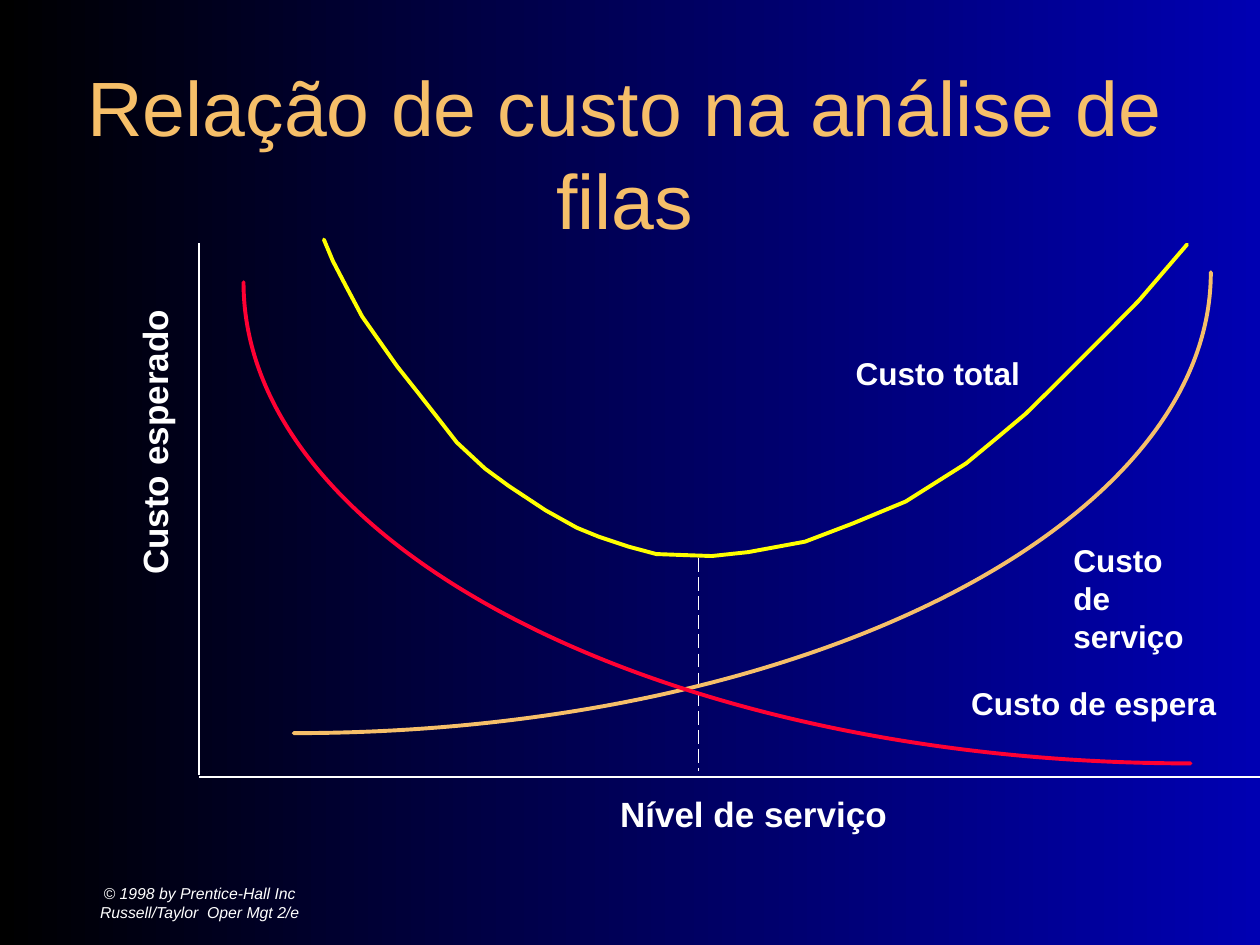
"""Build the slide on cost trade-offs in queue analysis."""
from dataclasses import dataclass

from lxml import etree
from pptx import Presentation
from pptx.dml.color import RGBColor
from pptx.enum.dml import MSO_LINE
from pptx.enum.shapes import MSO_CONNECTOR
from pptx.enum.text import MSO_ANCHOR, MSO_AUTO_SIZE, PP_ALIGN
from pptx.oxml.ns import qn
from pptx.util import Cm, Pt

LEFT, CENTER = PP_ALIGN.LEFT, PP_ALIGN.CENTER
TOP, MIDDLE = MSO_ANCHOR.TOP, MSO_ANCHOR.MIDDLE
FIT_SHAPE, NO_FIT = MSO_AUTO_SIZE.SHAPE_TO_FIT_TEXT, MSO_AUTO_SIZE.NONE
STRAIGHT = MSO_CONNECTOR.STRAIGHT
LONG_DASH = MSO_LINE.LONG_DASH
TITLE_ONLY = 5

TOTAL_COST_POINTS = [
    (6.53, 4.83), (6.71, 5.26), (6.96, 5.74), (7.3, 6.38), (7.7, 6.95),
    (8.01, 7.39), (8.43, 7.92), (8.86, 8.47), (9.21, 8.92), (9.78, 9.45),
    (10.26, 9.8), (11, 10.29), (11.63, 10.64), (12.07, 10.82),
    (12.67, 11.02), (13.23, 11.17), (13.77, 11.19), (14.35, 11.21),
    (15.09, 11.13), (16.23, 10.92), (17.2, 10.55), (18.26, 10.11),
    (19.48, 9.34), (20.12, 8.81), (20.68, 8.34), (21.34, 7.69),
    (22.17, 6.86), (22.96, 6.06), (23.93, 4.93),
]
SERVICE_COST_ARC = [(24.41, 5.49), (24.41, 10.62), (16.13, 14.78), (5.92, 14.78)]
WAITING_COST_ARC = [(24, 15.39), (13.46, 15.39), (4.91, 11.05), (4.91, 5.69)]


@dataclass(frozen=True)
class Theme:
    """Colours, type sizes and line widths of the slide."""

    font: str = "Arial"
    night: str = "000000"
    blue: str = "0000B2"
    white: str = "FFFFFF"
    amber: str = "F6BF69"
    yellow: str = "FFFF00"
    red: str = "FF0033"
    title: float = 44
    axis_label: float = 20
    curve_label: float = 18
    footer: float = 9
    thin: float = 1
    thick: float = 2.25


THEME = Theme()


def rgb(value):
    """Return a colour from its hexadecimal value."""
    return RGBColor.from_string(value)


def write_text(frame, text, size, color=THEME.white, bold=False, italic=False,
               align=LEFT, anchor=TOP, wrap=True, fit=FIT_SHAPE):
    """Fill a text frame, one paragraph to each line of text."""
    frame.text = text
    frame.word_wrap = wrap
    frame.auto_size = fit
    frame.vertical_anchor = anchor
    for paragraph in frame.paragraphs:
        paragraph.alignment = align
        font = paragraph.font
        font.name, font.size = THEME.font, Pt(size)
        font.bold, font.italic = bold, italic
        font.color.rgb = rgb(color)


def add_label(slide, text, left, top, width, height, rotation=0, **style):
    """Add a text box measured in centimetres."""
    label = slide.shapes.add_textbox(Cm(left), Cm(top), Cm(width), Cm(height))
    label.rotation = rotation
    write_text(label.text_frame, text, **style)


def add_line(slide, start, end, dash=None):
    """Add a thin white line between two points."""
    line = slide.shapes.add_connector(
        STRAIGHT, *(Cm(value) for value in (*start, *end)))
    line.line.color.rgb = rgb(THEME.white)
    line.line.width = Pt(THEME.thin)
    if dash is not None:
        line.line.dash_style = dash
    etree.SubElement(line._element.spPr, qn("a:effectLst"))


def add_curve(slide, points, color):
    """Add an open, unfilled outline with round ends through the points."""
    first, *rest = [(Cm(x), Cm(y)) for x, y in points]
    builder = slide.shapes.build_freeform(*first)
    builder.add_line_segments(rest, close=False)
    curve = builder.convert_to_shape()
    curve.shadow.inherit = False
    curve.fill.background()
    curve.line.color.rgb = rgb(color)
    curve.line.width = Pt(THEME.thick)
    outline = curve._element.spPr.find(qn("a:ln"))
    outline.set("cap", "rnd")
    etree.SubElement(outline, qn("a:round"))
    return curve


def add_arc(slide, controls, color):
    """Add a cubic arc from its start, two control points and end."""
    arc = add_curve(slide, controls, color)
    segments = list(arc._element.iter(qn("a:lnTo")))
    bezier = etree.SubElement(segments[0].getparent(), qn("a:cubicBezTo"))
    for segment in segments:
        bezier.append(segment[0])
        segment.getparent().remove(segment)


def set_background(slide):
    """Shade the background from black to blue, left to right."""
    fill = slide.background.fill
    fill.gradient()
    fill.gradient_angle = 0
    for stop, color in zip(fill.gradient_stops, (THEME.night, THEME.blue)):
        stop.color.rgb = rgb(color)


def add_title(slide, text):
    """Place and format the title."""
    title = slide.shapes.title
    title.left, title.top = Cm(0.85), Cm(1.48)
    title.width, title.height = Cm(23.5), Cm(3.18)
    write_text(title.text_frame, text, THEME.title, color=THEME.amber,
               align=CENTER, anchor=MIDDLE, fit=NO_FIT)


def add_total_cost(slide, style):
    """Draw the total cost, its lowest point and its label."""
    add_line(slide, (14.08, 11.25), (14.08, 15.54), dash=LONG_DASH)
    add_curve(slide, TOTAL_COST_POINTS, THEME.yellow)
    add_label(slide, "Custo total", 17, 7.01, 3.9, 1.02, wrap=False, **style)


def add_axes(slide):
    """Draw the axes with their labels."""
    style = {"size": THEME.axis_label, "bold": True}
    add_line(slide, (4.02, 4.9), (4.02, 15.62))
    add_line(slide, (25.4, 15.67), (4.02, 15.67))
    add_label(slide, "Custo esperado", -0.03, 8.16, 6.27, 1.09,
              rotation=270, **style)
    add_label(slide, "Nível de serviço", 12.25, 15.85, 5.89, 1.09,
              wrap=False, **style)


def add_partial_costs(slide, style):
    """Draw the service and waiting costs with their labels."""
    add_label(slide, "Custo de serviço", 21.39, 10.79, 3.1, 2.54, **style)
    add_arc(slide, SERVICE_COST_ARC, THEME.amber)
    add_arc(slide, WAITING_COST_ARC, THEME.red)
    add_label(slide, "Custo de espera", 19.33, 13.67, 6.07, 1.02, **style)


def main():
    """Build and save the presentation."""
    deck = Presentation()
    deck.slide_width, deck.slide_height = Cm(25.4), Cm(19.05)
    slide = deck.slides.add_slide(deck.slide_layouts[TITLE_ONLY])
    curve_style = {"size": THEME.curve_label, "bold": True}
    set_background(slide)
    add_title(slide, "Relação de custo na análise de filas")
    add_label(slide,
              "© 1998 by Prentice-Hall Inc\nRussell/Taylor  Oper Mgt 2/e",
              0, 17.56, 8.05, 1.27, size=THEME.footer, italic=True,
              align=CENTER, anchor=MIDDLE, wrap=False, fit=NO_FIT)
    add_total_cost(slide, curve_style)
    add_axes(slide)
    add_partial_costs(slide, curve_style)
    deck.save("out.pptx")


if __name__ == "__main__":
    main()
